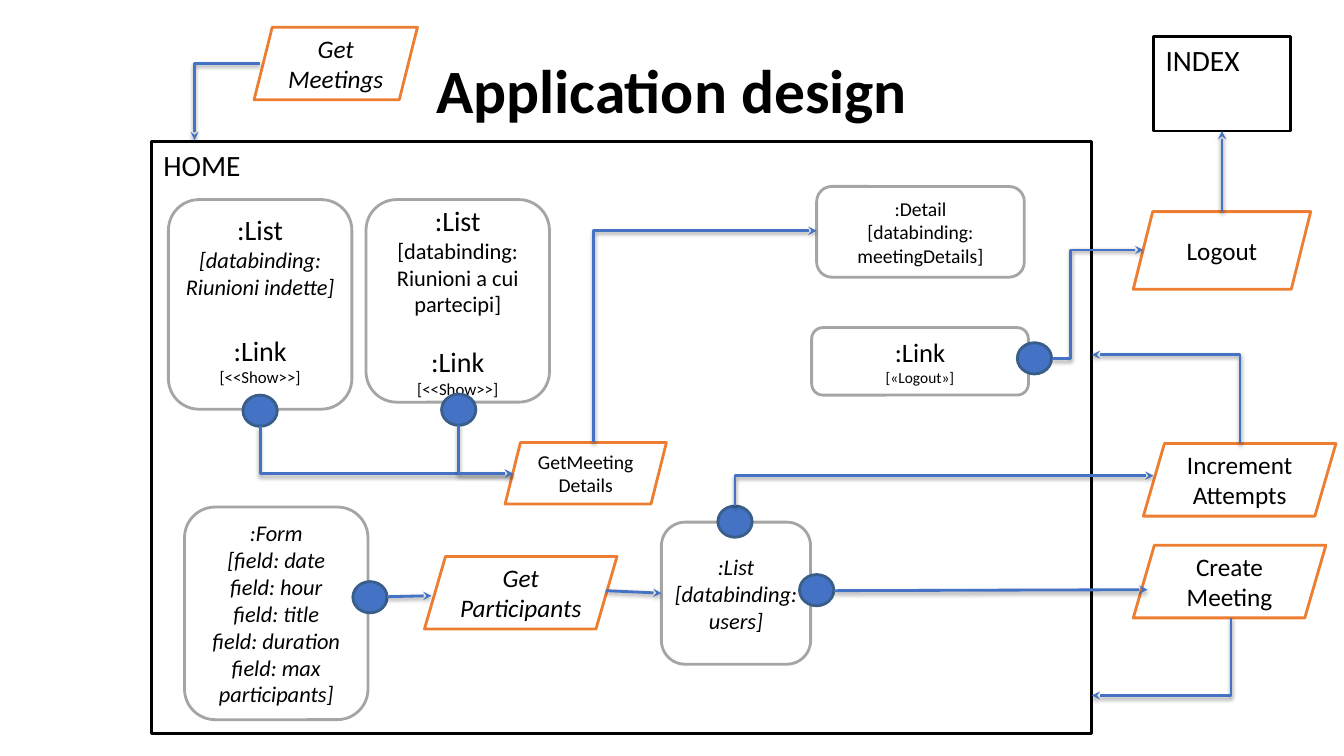
import pptx
import pptx.dml.color
import pptx.enum.shapes
import pptx.enum.text
import pptx.oxml
import pptx.oxml.ns
import pptx.util

Inches = pptx.util.Inches
Shape = pptx.enum.shapes.MSO_SHAPE
Anchor = pptx.enum.text.MSO_ANCHOR
Align = pptx.enum.text.PP_ALIGN
Connector = pptx.enum.shapes.MSO_CONNECTOR

BLACK, WHITE, GREY = "000000", "FFFFFF", "A5A5A5"
ORANGE, BLUE, DARK_BLUE = "ED7D31", "4472C4", "395E89"
LEFT, BOTTOM = 1, 2


def color(value):
    return pptx.dml.color.RGBColor.from_string(value)


def xml(text):
    """Build an element from a fragment whose root is in the DrawingML namespace."""
    return pptx.oxml.parse_xml(text.replace(" ", f" {pptx.oxml.ns.nsdecls('a')} ", 1))


class Diagram:
    """Holds the style and the slide that the elements are added to."""

    font = "Calibri"
    line_width = 2
    dot_size = (0.34, 0.31)

    def __init__(self, page):
        self.page = page

    def set_text(self, box, lines, size=18, italic=False, bold=False, align=Align.CENTER,
                 anchor=Anchor.MIDDLE, insets=(0.05, 0.05, 0.05, 0.05)):
        """Fill a shape; a line is a string or (string, size, italic, space before)."""
        frame = box.text_frame
        frame.word_wrap = True
        frame.vertical_anchor = anchor
        (frame.margin_left, frame.margin_top,
         frame.margin_right, frame.margin_bottom) = map(Inches, insets)
        for index, line in enumerate(lines):
            text, points, slanted, gap = (line, size, italic, 0) if isinstance(line, str) else line
            para = frame.paragraphs[0] if index == 0 else frame.add_paragraph()
            para.alignment = align
            para.space_before = pptx.util.Pt(gap)
            span = para.add_run()
            span.text = text
            span.font.name = self.font
            span.font.size = pptx.util.Pt(points)
            span.font.italic = slanted
            span.font.bold = bold
            span.font.color.rgb = color(BLACK)

    def title(self, text, place):
        box = self.page.shapes.title
        box.left, box.top, box.width, box.height = map(Inches, place)
        self.set_text(box, [text], size=44, bold=True)
        box.text_frame.paragraphs[0].line_spacing = 0.9

    def shape(self, kind, place, line, fill=WHITE, adjust=None, lines=(), **text_format):
        box = self.page.shapes.add_shape(kind, *map(Inches, place))
        box.shadow.inherit = False
        box.fill.solid()
        box.fill.fore_color.rgb = color(fill)
        box.line.color.rgb = color(line)
        box.line.width = pptx.util.Pt(self.line_width)
        if adjust is not None:
            box.adjustments[0] = adjust
        if lines:
            self.set_text(box, lines, **text_format)
        return box

    def container(self, name, place):
        return self.shape(Shape.RECTANGLE, place, BLACK, lines=[name], size=21, align=Align.LEFT,
                          anchor=Anchor.TOP, insets=(0.12, 0.06, 0.12, 0.06))

    def component(self, place, lines, **text_format):
        return self.shape(Shape.ROUNDED_RECTANGLE, place, GREY, adjust=0.167,
                          lines=lines, **text_format)

    def action(self, place, lines, slant=0.29, **text_format):
        return self.shape(Shape.PARALLELOGRAM, place, ORANGE, adjust=slant, lines=lines,
                          insets=(0.02, 0.02, 0.02, 0.02), **text_format)

    def dot(self, left, top):
        return self.shape(Shape.OVAL, (left, top, *self.dot_size), DARK_BLUE, fill=BLUE)

    def arrow(self, start, end, kind=Connector.STRAIGHT):
        link = self.page.shapes.add_connector(kind, *map(Inches, (*start, *end)))
        link.line.color.rgb = color(BLUE)
        link.line.width = pptx.util.Pt(self.line_width)
        properties = link.element.spPr
        properties.find(pptx.oxml.ns.qn("a:ln")).append(xml('<a:tailEnd type="stealth"/>'))
        properties.append(xml(
            '<a:effectLst ><a:outerShdw blurRad="38100" dist="20320" dir="5400000" '
            'rotWithShape="0"><a:srgbClr val="000000"><a:alpha val="38000"/></a:srgbClr>'
            '</a:outerShdw></a:effectLst>'))
        return link

    def elbow(self, start, end, bend=0):
        """Bend at a share of the width; None goes across first, then straight to the end."""
        link = self.arrow(start, end, Connector.ELBOW)
        geometry = link.element.spPr.find(pptx.oxml.ns.qn("a:prstGeom"))
        if bend is None:
            geometry.set("prst", "bentConnector2")
        else:
            guides = geometry.find(pptx.oxml.ns.qn("a:avLst"))
            guides.append(xml(f'<a:gd name="adj1" fmla="val {round(bend * 100000)}"/>'))


def main():
    deck = pptx.Presentation()
    deck.slide_width, deck.slide_height = Inches(13.33), Inches(7.5)
    diagram = Diagram(deck.slides.add_slide(deck.slide_layouts[5]))

    diagram.title("Application design", (1.79, 0.3, 9.75, 1.25))
    diagram.container("HOME", (1.5, 1.4, 9.33, 5.88))
    index_page = diagram.container("INDEX", (11.44, 0.36, 1.36, 0.94))

    diagram.component(
        (1.67, 1.98, 1.82, 2.08),
        [(":List", 20, False, 0), "[databinding:", "Riunioni indette]",
         (":Link", 20, False, 24), ("[<<Show>>]", 12, False, 0)],
        size=16, italic=True, insets=(0.01, 0.02, 0.01, 0.11))
    diagram.component(
        (3.63, 1.98, 1.82, 2.01),
        [(":List", 20, False, 0), "[databinding:", "Riunioni a cui partecipi]",
         (":Link", 20, False, 19.5), ("[<<Show>>]", 12, False, 0)], size=16)
    diagram.component((8.1, 1.85, 2.06, 0.9),
                      [":Detail", "[databinding: meetingDetails]"], size=14)
    diagram.component((8.05, 3.25, 2.15, 0.67),
                      [":Link", ("[«Logout»]", 11, False, 0)], size=19)
    diagram.component(
        (1.83, 5.03, 1.82, 2.11),
        [":Form", "[field: date", "field: hour", "field: title", "field: duration",
         "field: max participants]"], size=16, italic=True)
    users_list = diagram.component((6.56, 5.18, 1.48, 1.41),
                                   [":List", "[databinding:", "users]"], size=16, italic=True)

    diagram.action((2.52, 0.27, 1.62, 0.72), ["Get", "Meetings"], slant=0.25, italic=True)
    diagram.action((4.21, 5.52, 1.91, 0.72), ["Get", "Participants"], italic=True)
    diagram.action((5.01, 4.39, 1.6, 0.61), ["GetMeeting", "Details"], slant=0.25, size=14)
    diagram.action((11.24, 2.1, 1.76, 0.77), ["Logout"], slant=0.25)
    diagram.action((11.34, 4.4, 1.91, 0.72), ["Increment", "Attempts"])
    diagram.action((11.24, 5.41, 1.91, 0.72), ["Create", "Meeting"])

    for left, top in [(2.41, 3.92), (4.38, 3.91), (3.5, 5.77), (7.12, 5.02),
                      (7.93, 5.7), (10.09, 3.4)]:
        diagram.dot(left, top)

    diagram.arrow((3.84, 5.92), (4.28, 5.91))
    diagram.arrow((6.01, 5.86), (6.56, 5.86)).end_connect(users_list, LEFT)
    diagram.arrow((8.27, 5.86), (11.38, 5.85))
    diagram.arrow((12.12, 2.1), (12.12, 1.3)).end_connect(index_page, BOTTOM)

    diagram.elbow((2.58, 0.63), (1.93, 1.39), bend=None)
    for start, end in [((12.21, 6.13), (10.83, 6.9)), ((12.3, 4.4), (10.83, 3.52)),
                       ((5.89, 4.39), (8.1, 2.29)), ((2.58, 4.23), (5.09, 4.7)),
                       ((4.55, 4.22), (5.09, 4.7)), ((7.29, 5.02), (11.44, 4.72))]:
        diagram.elbow(start, end)
    diagram.elbow((10.43, 3.56), (11.34, 2.48), bend=0.21)

    deck.save("out.pptx")


if __name__ == "__main__":
    main()
